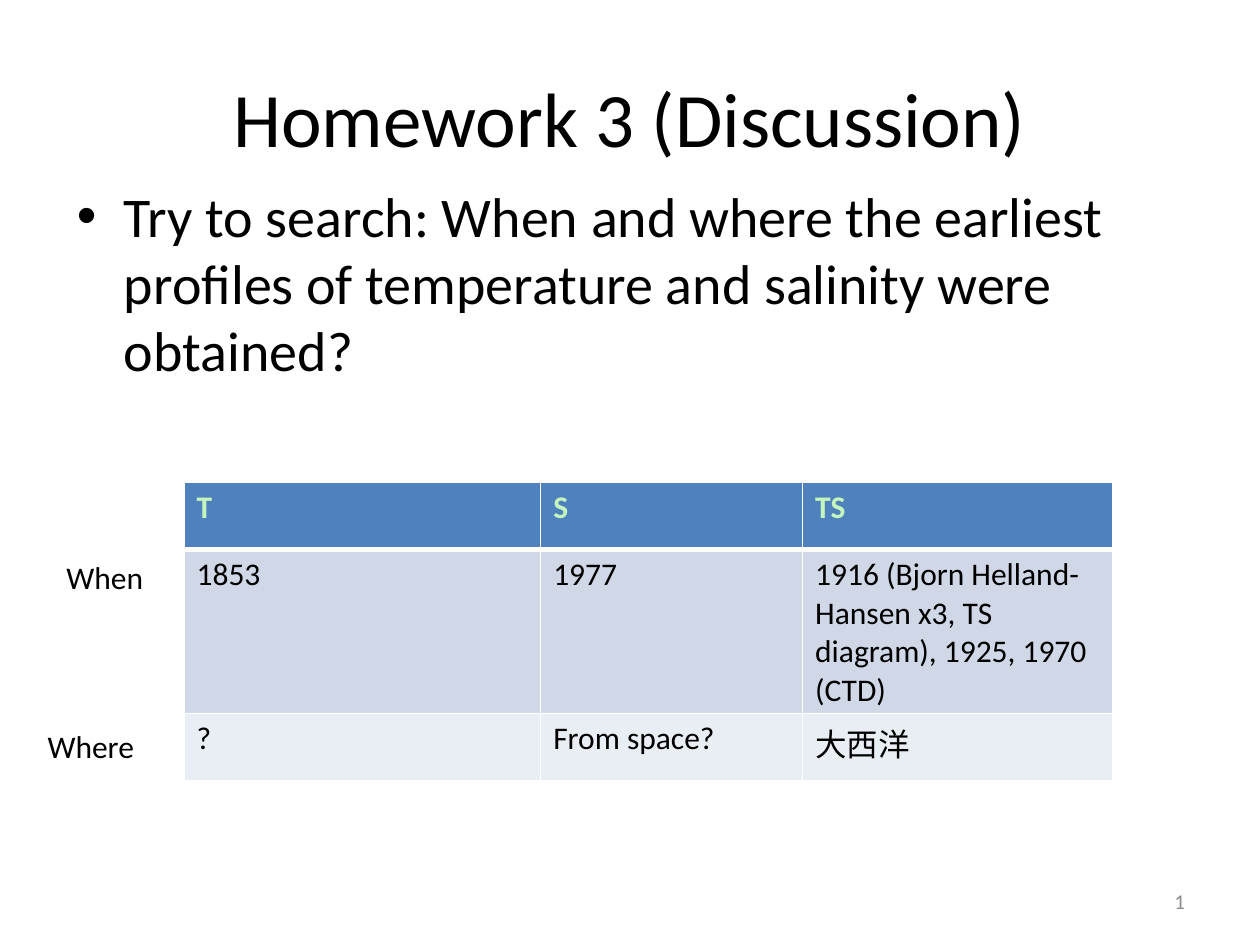
import pptx
import pptx.dml.color
import pptx.enum.text
import pptx.oxml
import pptx.oxml.ns
import pptx.util
from pptx.util import Cm

ALIGN = pptx.enum.text.PP_ALIGN
ANCHOR = pptx.enum.text.MSO_ANCHOR
BLACK, WHITE, GREY = "000000", "FFFFFF", "8C8C8C"
PALE_GREEN, HEADER_BLUE = "C4F5BE", "4F81BD"
ROW_FILLS = [HEADER_BLUE, "D0D8E8", "E9EDF4"]

COLUMN_WIDTHS = [7.19, 5.28, 6.25]
ROW_HEIGHTS = [1.35, 3.3, 1.35]
ANSWERS = [
    ["T", "S", "TS"],
    ["1853", "1977",
     "1916 (Bjorn Helland-Hansen x3, TS diagram), 1925, 1970 (CTD)"],
    ["?", "From space?", "大西洋"],
]
# Row label: offset from the table's top left corner
ROW_LABELS = {"When": (-2.62, 1.4), "Where": (-3, 4.8)}


def rgb(value):
    return pptx.dml.color.RGBColor.from_string(value)


def apply_font(paragraph, size, color=BLACK, bold=False):
    font_format = {"name": "Calibri", "size": pptx.util.Pt(size), "bold": bold}
    for attribute, value in font_format.items():
        setattr(paragraph.font, attribute, value)
    paragraph.font.color.rgb = rgb(color)


def add_text(slide, box, text, size, color=BLACK, align=ALIGN.LEFT, anchor=ANCHOR.TOP):
    frame = slide.shapes.add_textbox(*map(Cm, box)).text_frame
    frame.word_wrap = True
    frame.vertical_anchor = anchor
    paragraph = frame.paragraphs[0]
    paragraph.text = text
    paragraph.alignment = align
    apply_font(paragraph, size, color)
    return paragraph


def add_question(slide, box, text):
    paragraph = add_text(slide, box, text, 32)
    properties = paragraph._p.get_or_add_pPr()
    properties.set("marL", str(Cm(0.95)))
    properties.set("indent", str(-Cm(0.95)))
    bullet_parts = [("buFont", 'typeface="Arial"'), ("buChar", 'char="•"')]
    for position, (tag, attribute) in enumerate(bullet_parts):
        properties.insert(position, pptx.oxml.parse_xml(
            f'<a:{tag} {pptx.oxml.ns.nsdecls("a")} {attribute}/>'))


def add_borders(cell, widths):
    """Draw white borders; widths maps lnL, lnR, lnT, lnB to points."""
    properties = cell._tc.get_or_add_tcPr()
    for position, (side, width) in enumerate(widths.items()):
        properties.insert(position, pptx.oxml.parse_xml(
            f'<a:{side} {pptx.oxml.ns.nsdecls("a")} w="{pptx.util.Pt(width)}">'
            f'<a:solidFill><a:srgbClr val="{WHITE}"/></a:solidFill></a:{side}>'))


def add_answer_table(slide, left, top):
    """Place the answers and, left of them, the labels of the rows."""
    table = slide.shapes.add_table(
        len(ROW_HEIGHTS), len(COLUMN_WIDTHS), Cm(left), Cm(top),
        Cm(sum(COLUMN_WIDTHS)), Cm(sum(ROW_HEIGHTS))).table
    for column, width in zip(table.columns, COLUMN_WIDTHS):
        column.width = Cm(width)
    for row_index, (row, height) in enumerate(zip(table.rows, ROW_HEIGHTS)):
        row.height = Cm(height)
        is_header = row_index == 0
        for cell, answer in zip(row.cells, ANSWERS[row_index]):
            cell.text = answer
            apply_font(cell.text_frame.paragraphs[0], 18,
                       PALE_GREEN if is_header else BLACK, is_header)
            cell.fill.solid()
            cell.fill.fore_color.rgb = rgb(ROW_FILLS[row_index])
            add_borders(cell, {"lnL": 1, "lnR": 1,
                               "lnT": 3 if row_index == 1 else 1,
                               "lnB": 3 if is_header else 1})
    for label, (x, y) in ROW_LABELS.items():
        add_text(slide, (left + x, top + y, 2.59, 1.02), label, 18)


def main():
    presentation = pptx.Presentation()
    presentation.slide_width, presentation.slide_height = Cm(25.4), Cm(19.05)
    slide = presentation.slides.add_slide(presentation.slide_layouts[6])
    slide.background.fill.solid()
    slide.background.fill.fore_color.rgb = rgb(WHITE)

    add_text(slide, (1.27, 0.76, 22.86, 3.18), "Homework 3 (Discussion)", 44,
             align=ALIGN.CENTER, anchor=ANCHOR.MIDDLE)
    add_text(slide, (18.21, 17.65, 5.93, 1.02), "1", 12, GREY,
             ALIGN.RIGHT, ANCHOR.MIDDLE)
    add_question(slide, (1.3, 3.53, 22.86, 12.57),
                 "Try to search: When and where the earliest profiles of "
                 "temperature and salinity were obtained?")
    add_answer_table(slide, 3.71, 9.73)
    presentation.save("out.pptx")


if __name__ == "__main__":
    main()
